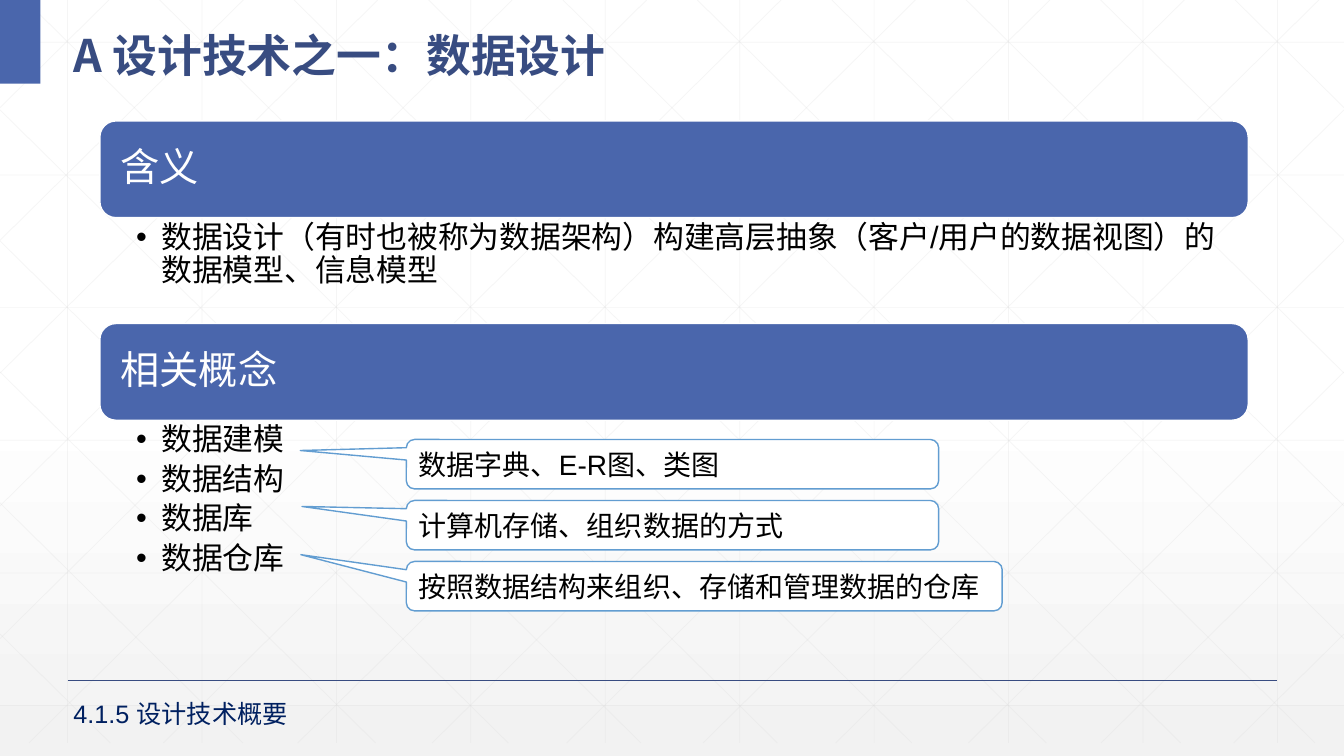
from lxml.etree import SubElement
from pptx import Presentation
from pptx.dml.color import RGBColor
from pptx.enum.shapes import MSO_CONNECTOR as Connector, MSO_SHAPE as Shape
from pptx.enum.text import MSO_ANCHOR as Anchor, MSO_AUTO_SIZE as AutoSize, PP_ALIGN as Align
from pptx.oxml.ns import qn
from pptx.util import Inches, Pt

# Content
HEADING = "A 设计技术之一：数据设计"
SECTION_NOTE = "4.1.5 设计技术概要"
# heading, top of its bar, height of its list, list items
TOPICS = [
    ("含义", 1.2, 1.05,
     ["数据设计（有时也被称为数据架构）构建高层抽象（客户/用户的数据视图）的数据模型、信息模型"]),
    ("相关概念", 3.21, 2.28, ["数据建模", "数据结构", "数据库", "数据仓库"]),
]
# text, width, tip position and corner radius
EXPLANATIONS = [
    ("数据字典、E-R图、类图", 5.28, (-0.699, -0.276, 0.167)),
    ("计算机存储、组织数据的方式", 5.28, (-0.696, -0.378, 0.167)),
    ("按照数据结构来组织、存储和管理数据的仓库", 5.91, (-0.677, -0.638, 0.167)),
]

# Formats
CJK = "Noto Sans CJK SC"
BLUE, NAVY = "4A66AC", "384C81"
HEADING_FONT = {"size": Pt(32), "name": CJK, "bold": True}
BAR_FONT = {"size": Pt(28), "name": "Arial"}
ITEM_FONT = {"size": Pt(22), "name": "Arial"}
EXPLANATION_FONT = {"size": Pt(20), "name": "Arial"}
NOTE_FONT = {"size": Pt(18), "name": "Arial"}
PLAIN = {"alignment": Align.LEFT, "space_before": Pt(0)}
HEADING_LINES = PLAIN | {"line_spacing": 1.3}
ITEM_LINES = PLAIN | {"line_spacing": 0.9, "space_after": Pt(4.4)}
MIDDLE = {"vertical_anchor": Anchor.MIDDLE, "word_wrap": True, "auto_size": AutoSize.NONE}
TOP = MIDDLE | {"vertical_anchor": Anchor.TOP}

# Layout
WIDTH, HEIGHT = 13.33, 7.5
GRID_BOTTOM, COLUMN, ROW, SLOPE = 7.37, 4 / 3, 1.316, 0.988
TOPIC_LEFT, TOPIC_WIDTH, BAR_HEIGHT = 0.99, 11.39, 0.96
EXPLANATION_LEFT, EXPLANATION_TOP, EXPLANATION_STEP = 4.03, 4.36, 0.605

prs = Presentation()
prs.slide_width, prs.slide_height = Inches(WIDTH), Inches(HEIGHT)
slide = prs.slides.add_slide(prs.slide_layouts[3])


def rgb(color):
    return RGBColor.from_string(color)


def apply(target, values):
    for key, value in values.items():
        setattr(target, key, value)


def write(shape, lines, font, color, paragraph_format=PLAIN, frame_format=MIDDLE):
    frame = shape.text_frame
    apply(frame, frame_format)
    frame.text = "\n".join(lines)
    for paragraph in frame.paragraphs:
        apply(paragraph, paragraph_format)
        run = paragraph.runs[0]
        apply(run.font, font)
        run.font.color.rgb = rgb(color)
        SubElement(run.font._element, qn("a:ea"), typeface=CJK)


def place(placeholder, left, top, width, height):
    """Set the box of a placeholder and bring it to the front."""
    apply(placeholder, {"left": Inches(left), "top": Inches(top),
                        "width": Inches(width), "height": Inches(height)})
    slide.shapes._spTree.append(placeholder._element)


def add_line(x1, y1, x2, y2, color, weight, opacity=100):
    line = slide.shapes.add_connector(Connector.STRAIGHT, *map(Inches, (x1, y1, x2, y2)))
    line.line.width = Pt(weight)
    line.line.color.rgb = rgb(color)
    SubElement(line._element.spPr, qn("a:effectLst"))
    if opacity < 100:
        fill = line._element.spPr.find(".//" + qn("a:srgbClr"))
        SubElement(fill, qn("a:alpha"), val=str(opacity * 1000))


def add_box(kind, left, top, width, height, fill, outline=None):
    box = slide.shapes.add_shape(kind, *map(Inches, (left, top, width, height)))
    box.shadow.inherit = False
    box.fill.solid()
    box.fill.fore_color.rgb = rgb(fill)
    if outline:
        box.line.color.rgb = rgb(outline)
        box.line.width = Pt(1)
    else:
        box.line.fill.background()
    return box


# Background gradient
backdrop = slide.background.fill
backdrop.gradient()
backdrop.gradient_angle = 270
for stop, (position, color) in zip(backdrop.gradient_stops, [(0.53, "FFFFFF"), (1, "F2F2F2")]):
    stop.position = position
    stop.color.rgb = rgb(color)

# Faint grid: columns, rows, then diagonals with their mirror images
grid = [(x, 0, x, GRID_BOTTOM) for x in (0.67 + COLUMN * i for i in range(10))]
grid += [(0, y, WIDTH, y) for y in (0.42 + ROW * i for i in range(6))]
starts = [(0.25 + COLUMN * i, 0) for i in range(10)] + [(0, 1.09 + 1.3 * i) for i in range(5)]
for x, y in starts:
    run_length = min(WIDTH - x, (GRID_BOTTOM - y) / SLOPE)
    end_x, end_y = x + run_length, y + run_length * SLOPE
    grid += [(x, y, end_x, end_y), (WIDTH - x, y, WIDTH - end_x, end_y)]
for ends in grid:
    add_line(*ends, "D9D9D9", 0.5, opacity=25)

# Footer rule and corner block
add_line(0.67, 6.75, 12.67, 6.75, NAVY, 1)
add_box(Shape.RECTANGLE, 0, 0, 0.4, 0.83, BLUE)

# Topics: a bar with a bulleted list below
heading, *topic_lists = slide.placeholders
for (topic, top, list_height, items), topic_list in zip(TOPICS, topic_lists):
    bar = add_box(Shape.ROUNDED_RECTANGLE, TOPIC_LEFT, top, TOPIC_WIDTH, BAR_HEIGHT,
                  BLUE, "FFFFFF")
    write(bar, [topic], BAR_FONT, "FFFFFF", PLAIN | {"line_spacing": 0.9},
          MIDDLE | {"margin_left": Inches(0.16)})
    place(topic_list, TOPIC_LEFT, top + BAR_HEIGHT, TOPIC_WIDTH, list_height)
    write(topic_list, items, ITEM_FONT, "000000", ITEM_LINES,
          TOP | {"margin_left": Inches(0.36), "margin_right": Inches(0.22),
                 "margin_top": Inches(0.04), "margin_bottom": Inches(0.04)})
    for item in topic_list.text_frame.paragraphs:
        indents = item._p.get_or_add_pPr()
        indents.set("marL", str(Inches(0.25)))
        indents.set("indent", str(-Inches(0.25)))

# Title
place(heading, 0.63, 0.1, 12.42, 0.73)
write(heading, [HEADING], HEADING_FONT, NAVY, HEADING_LINES)

# Callouts explaining the concepts
for i, (explanation, width, tip) in enumerate(EXPLANATIONS):
    callout = add_box(Shape.ROUNDED_RECTANGULAR_CALLOUT, EXPLANATION_LEFT,
                      EXPLANATION_TOP + EXPLANATION_STEP * i, width, 0.49, "FFFFFF", "629DD1")
    for corner, value in enumerate(tip):
        callout.adjustments[corner] = value
    write(callout, [explanation], EXPLANATION_FONT, "000000")

# Section note
section_note = slide.shapes.add_textbox(*map(Inches, (0.63, 6.88, 3.53, 0.4)))
write(section_note, [SECTION_NOTE], NOTE_FONT, "002060", frame_format=TOP)

prs.save("out.pptx")
